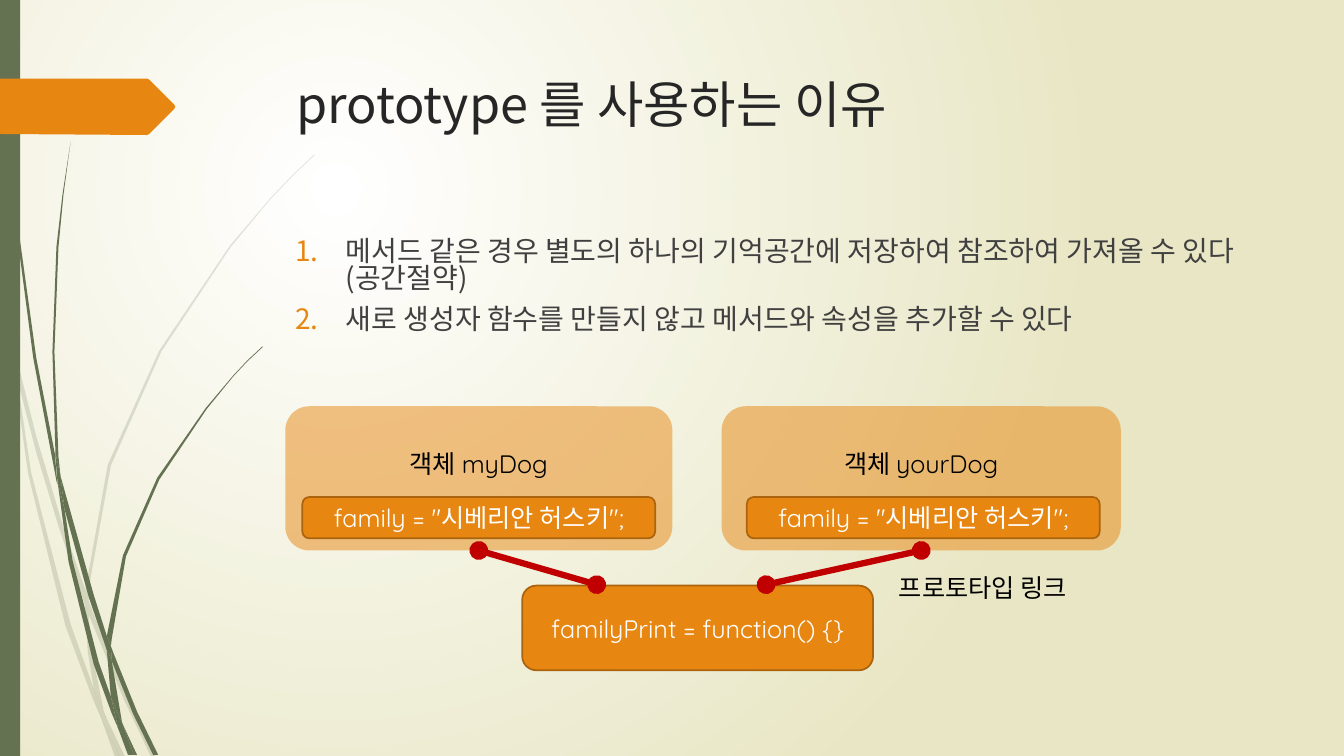
from lxml import etree
from pptx import Presentation
from pptx.dml.color import RGBColor as Rgb
from pptx.enum.shapes import MSO_CONNECTOR as Connector, MSO_SHAPE as Shape
from pptx.enum.text import MSO_ANCHOR as Anchor, PP_ALIGN as Align
from pptx.oxml import parse_xml
from pptx.oxml.ns import nsdecls, qn
from pptx.util import Pt

COLORS = {"green": "647252", "orange": "E78712", "brown": "AB640D", "red": "C00000",
          "title": "262626", "body": "404040", "black": "000000", "white": "FFFFFF",
          "sand": "E8E6C4"}
HANGUL, LATIN = "Noto Sans CJK KR", "Quicksand"
GRID = 0.72  # points per unit of the outline grid

# Outlines of the grass blades: x, y pairs on the grid
PALE_BLADES = [
    (11, 350, 9, 322, 0, 282, 0, 299, 10, 344),
    (58, 522, 84, 599, 85, 586, 62, 520, 36, 433, 14, 345, 17, 376, 36, 449),
    (92, 607, 88, 596, 88, 610, 123, 694, 150, 751, 155, 751, 127, 692),
    (119, 751, 124, 751, 105, 711),
    (93, 683, 70, 619, 31, 469, 17, 376, 11, 350, 28, 470, 65, 621, 92, 693, 101, 714, 99, 707),
    (84, 599, 87, 646, 93, 683, 96, 692, 105, 711, 103, 706, 91, 646, 88, 610, 88, 608),
    (88, 584, 110, 462, 160, 349, 229, 245, 268, 198, 290, 175, 312, 154, 312, 153, 289, 175,
     268, 197, 228, 244, 158, 348, 107, 461, 85, 584, 85, 586, 88, 596),
    (101, 714, 114, 751, 119, 751),
    (88, 608, 88, 610, 88, 596, 85, 586, 84, 599),
    (96, 692, 93, 683, 99, 707, 101, 714, 119, 751, 105, 711),
]
DARK_BLADES = [
    (7, 110, 17, 233, 33, 355, 56, 477, 57, 481, 55, 457, 55, 453, 36, 355, 19, 232, 8, 109,
     5, 48, 4, 0, 3, 0, 4, 48),
    (88, 592, 106, 645, 106, 633, 106, 631, 93, 590, 60, 472, 64, 505),
    (113, 649, 110, 641, 111, 656, 132, 708, 152, 749, 157, 749, 136, 706),
    (110, 691, 98, 657, 72, 556, 64, 505, 57, 477, 68, 557, 93, 659, 111, 708, 117, 722, 116, 717),
    (60, 472, 58, 453, 54, 349, 58, 245, 63, 193, 70, 141, 62, 193, 56, 245, 52, 349, 55, 449),
    (133, 749, 136, 749, 122, 719),
    (57, 477, 64, 505, 60, 472, 55, 449, 55, 453),
    (111, 633, 125, 552, 158, 476, 205, 406, 231, 374, 245, 359, 261, 344, 260, 344, 245, 358,
     231, 373, 204, 405, 156, 474, 122, 551, 106, 631, 110, 641),
    (117, 722, 127, 749, 131, 749),
    (106, 645, 110, 691, 116, 706, 122, 719, 121, 716, 111, 656, 109, 651),
    (106, 645, 109, 651, 111, 656, 110, 641, 106, 631, 106, 633),
    (116, 706, 110, 691, 116, 717, 117, 722, 130, 749, 133, 749, 122, 719),
]
TAG = (0, 78, 146, 78, 148, 79, 173, 104, 174, 106, 173, 108, 148, 133, 146, 134, 0, 133)


class SlideBuilder:
    def __init__(self, slide):
        self.slide, self.shapes = slide, slide.shapes

    def background(self, inner, outer):
        self.slide.background.fill.solid()
        props = self.slide.element.find(".//" + qn("p:bgPr"))
        props.replace(props[0], parse_xml(
            f'<a:gradFill {nsdecls("a")} rotWithShape="1"><a:gsLst>'
            f'<a:gs pos="0"><a:srgbClr val="{COLORS[inner]}"/></a:gs>'
            f'<a:gs pos="100000"><a:srgbClr val="{COLORS[outer]}"/></a:gs></a:gsLst>'
            '<a:path path="circle"><a:fillToRect l="50000" t="50000" r="100000" b="100000"/>'
            '</a:path></a:gradFill>'))

    def paint(self, shape, fill, alpha=100, line=None):
        shape.shadow.inherit = False
        shape.fill.solid()
        shape.fill.fore_color.rgb = Rgb.from_string(COLORS[fill])
        if alpha < 100:
            color = shape._element.spPr.find(qn("a:solidFill"))[0]
            etree.SubElement(color, qn("a:alpha"), val=str(alpha * 1000))
        if line:
            shape.line.color.rgb = Rgb.from_string(COLORS[line])
            shape.line.width = Pt(1.25)
        else:
            shape.line.fill.background()

    def outline(self, flat, fill, alpha=100):
        lengths = [Pt(value * GRID) for value in flat]
        corners = list(zip(lengths[::2], lengths[1::2]))
        builder = self.shapes.build_freeform(*corners[0])
        builder.add_line_segments(corners[1:], close=True)
        self.paint(builder.convert_to_shape(), fill, alpha)

    def style(self, paragraph, size, color, font):
        for run in paragraph.runs:
            run.font.size = Pt(size)
            run.font.name = font
            run.font.color.rgb = Rgb.from_string(COLORS[color])
            latin = run._r.rPr.find(qn("a:latin"))
            latin.addnext(latin.makeelement(qn("a:ea"), {"typeface": HANGUL}))

    def box(self, place, text, fill="orange", color="white", alpha=100, line="brown", bottom=3.6):
        shape = self.shapes.add_shape(Shape.ROUNDED_RECTANGLE, *map(Pt, place))
        self.paint(shape, fill, alpha, line)
        frame = shape.text_frame
        frame.text = text
        frame.vertical_anchor = Anchor.MIDDLE
        frame.margin_bottom = Pt(bottom)
        frame.paragraphs[0].alignment = Align.CENTER
        self.style(frame.paragraphs[0], 18, color, LATIN)
        return shape

    def text(self, place, text, size, color, font=HANGUL, wrap=True):
        frame = self.shapes.add_textbox(*map(Pt, place)).text_frame
        frame.word_wrap = wrap
        frame.text = text
        for paragraph in frame.paragraphs:
            self.style(paragraph, size, color, font)
        return frame

    def numbered(self, place, items, size, color, bullet):
        for paragraph in self.text(place, "\n".join(items), size, color).paragraphs:
            paragraph.space_before = Pt(10)
            paragraph.line_spacing = 0.8
            props = paragraph._p.get_or_add_pPr()
            props.set("marL", str(Pt(36)))
            props.set("indent", str(Pt(-36)))
            paint = etree.SubElement(props, qn("a:buClr"))
            etree.SubElement(paint, qn("a:srgbClr"), val=COLORS[bullet])
            etree.SubElement(props, qn("a:buFont"), typeface=HANGUL)
            etree.SubElement(props, qn("a:buAutoNum"), type="arabicPeriod")

    def link(self, x, y, target):
        link = self.shapes.add_connector(Connector.STRAIGHT, Pt(x), Pt(y), Pt(x), Pt(y))
        link.end_connect(target, 2)
        link.line.color.rgb = Rgb.from_string(COLORS["red"])
        link.line.width = Pt(4.5)
        props = link._element.spPr
        for end in ("a:headEnd", "a:tailEnd"):
            etree.SubElement(props.find(qn("a:ln")), qn(end), type="oval")
        etree.SubElement(props, qn("a:effectLst"))


def main():
    deck = Presentation()
    deck.slide_width, deck.slide_height = Pt(960), Pt(540)
    page = SlideBuilder(deck.slides.add_slide(deck.slide_layouts[6]))

    # Backdrop: gradient, grass, side bar and tag
    page.background("white", "sand")
    for blades, alpha in ((PALE_BLADES, 20), (DARK_BLADES, 100)):
        for blade in blades:
            page.outline(blade, "green", alpha)
    side_bar = page.shapes.add_shape(Shape.RECTANGLE, 0, 0, Pt(14.4), Pt(540))
    page.paint(side_bar, "green")
    page.outline(TAG, "orange")

    # Title and reasons
    page.text((204.5, 49, 702, 100.8), "prototype 를 사용하는 이유", 36, "title")
    page.numbered((203.8, 167.8, 702, 297.4), [
        "메서드 같은 경우 별도의 하나의 기억공간에 저장하여 참조하여 가져올 수 있다 (공간절약)",
        "새로 생성자 함수를 만들지 않고 메서드와 속성을 추가할 수 있다",
    ], 20, "body", "orange")

    # Objects and the function they share
    dogs = [page.box((left, 290.2, width, 103), f"객체 {name}", color="black",
                     alpha=50, line=None, bottom=25)
            for name, left, width in (("myDog", 203.8, 276.5), ("yourDog", 515.5, 285.1))]
    page.box((373, 418.3, 250.6, 60.5), "familyPrint = function() {}")
    for left in (216, 533.5):
        page.box((left, 355, 252, 29.5), 'family = "시베리안 허스키";')

    # Prototype links
    for x, dog in zip((426.2, 547.2), dogs):
        page.link(x, 417.6, dog)
    page.text((635, 405.4, 147, 28.8), "프로토타입 링크", 18, "black", LATIN, wrap=False)

    deck.save("out.pptx")


if __name__ == "__main__":
    main()
